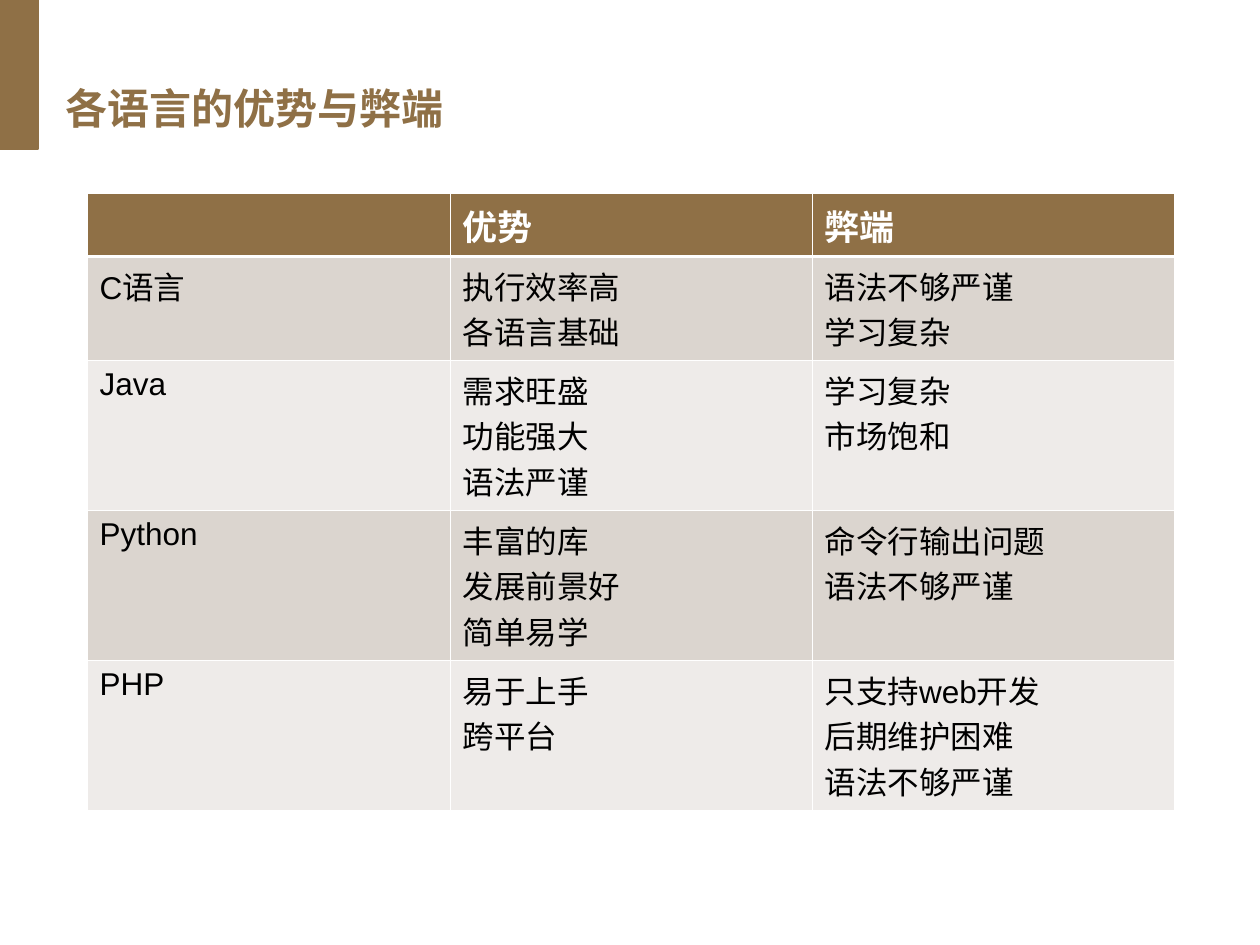
from lxml.etree import SubElement
from pptx import Presentation
from pptx.dml.color import RGBColor
from pptx.enum.shapes import MSO_SHAPE as SHAPE
from pptx.enum.text import MSO_ANCHOR as ANCHOR
from pptx.oxml.ns import qn
from pptx.util import Pt

PX = 914400 / 126

BROWN = RGBColor(0x8F, 0x70, 0x46)
BAND_DARK = RGBColor(0xDB, 0xD5, 0xCF)
BAND_LIGHT = RGBColor(0xEE, 0xEB, 0xE9)
WHITE = RGBColor(0xFF, 0xFF, 0xFF)
BLACK = RGBColor(0x00, 0x00, 0x00)

THIN, THICK = 0.45, 1.47
COL_WIDTHS = [363, 362, 362]
ROW_HEIGHTS = [63, 103, 150, 150, 150]
ROWS = [
    ("", "优势", "弊端"),
    ("C语言", "执行效率高\n各语言基础", "语法不够严谨\n学习复杂"),
    ("Java", "需求旺盛\n功能强大\n语法严谨", "学习复杂\n市场饱和"),
    ("Python", "丰富的库\n发展前景好\n简单易学", "命令行输出问题\n语法不够严谨"),
    ("PHP", "易于上手\n跨平台", "只支持web开发\n后期维护困难\n语法不够严谨"),
]


def px(*lengths):
    return [round(n * PX) for n in lengths]


def write_text(tf, text, size=18, color=BLACK, bold=False, spacing=None):
    """Fill a text frame, one paragraph per line of text."""
    tf.word_wrap = True
    for i, line in enumerate(text.split("\n")):
        p = tf.add_paragraph() if i else tf.paragraphs[0]
        p.line_spacing = spacing
        p.font.size = Pt(size)
        if line:
            r = p.add_run()
            r.text = line
            r.font.name = "Arial"
            r.font.size = Pt(size)
            r.font.bold = bold
            r.font.color.rgb = color


def set_borders(cell, top, bottom):
    """Draw white cell borders; call before the fill to keep the XML order."""
    tc_pr = cell._tc.get_or_add_tcPr()
    for side, width in (("L", THIN), ("R", THIN), ("T", top), ("B", bottom)):
        ln = SubElement(tc_pr, qn(f"a:ln{side}"), w=str(Pt(width)))
        fill = SubElement(ln, qn("a:solidFill"))
        SubElement(fill, qn("a:srgbClr"), val=str(WHITE))


def add_accent(slide):
    sp = slide.shapes.add_shape(SHAPE.RECTANGLE, *px(-1, 0, 39, 149))
    sp.shadow.inherit = False
    sp.fill.solid()
    sp.fill.fore_color.rgb = BROWN
    sp.line.color.rgb = BROWN
    sp.line.width = Pt(1)


def add_title(slide, text):
    tf = slide.shapes.add_textbox(*px(53, 68, 620, 86)).text_frame
    tf.vertical_anchor = ANCHOR.MIDDLE
    write_text(tf, text, size=24, color=BROWN, bold=True, spacing=0.9)


def add_comparison(slide):
    size = px(87, 193, sum(COL_WIDTHS), sum(ROW_HEIGHTS))
    table = slide.shapes.add_table(len(ROWS), len(COL_WIDTHS), *size).table
    for column, width in zip(table.columns, px(*COL_WIDTHS)):
        column.width = width
    for row, height in zip(table.rows, px(*ROW_HEIGHTS)):
        row.height = height

    for i, texts in enumerate(ROWS):
        header = i == 0
        band = BROWN if header else BAND_DARK if i % 2 else BAND_LIGHT
        for j, text in enumerate(texts):
            cell = table.cell(i, j)
            set_borders(cell, top=THICK if i == 1 else THIN,
                        bottom=THICK if header else THIN)
            cell.fill.solid()
            cell.fill.fore_color.rgb = band
            write_text(cell.text_frame, text, size=20 if header else 18,
                       color=WHITE if header else BLACK, bold=header)


def main():
    prs = Presentation()
    prs.slide_width, prs.slide_height = px(1260, 945)
    slide = prs.slides.add_slide(prs.slide_layouts[6])
    add_accent(slide)
    add_comparison(slide)
    add_title(slide, "各语言的优势与弊端")
    prs.save("out.pptx")


if __name__ == "__main__":
    main()
